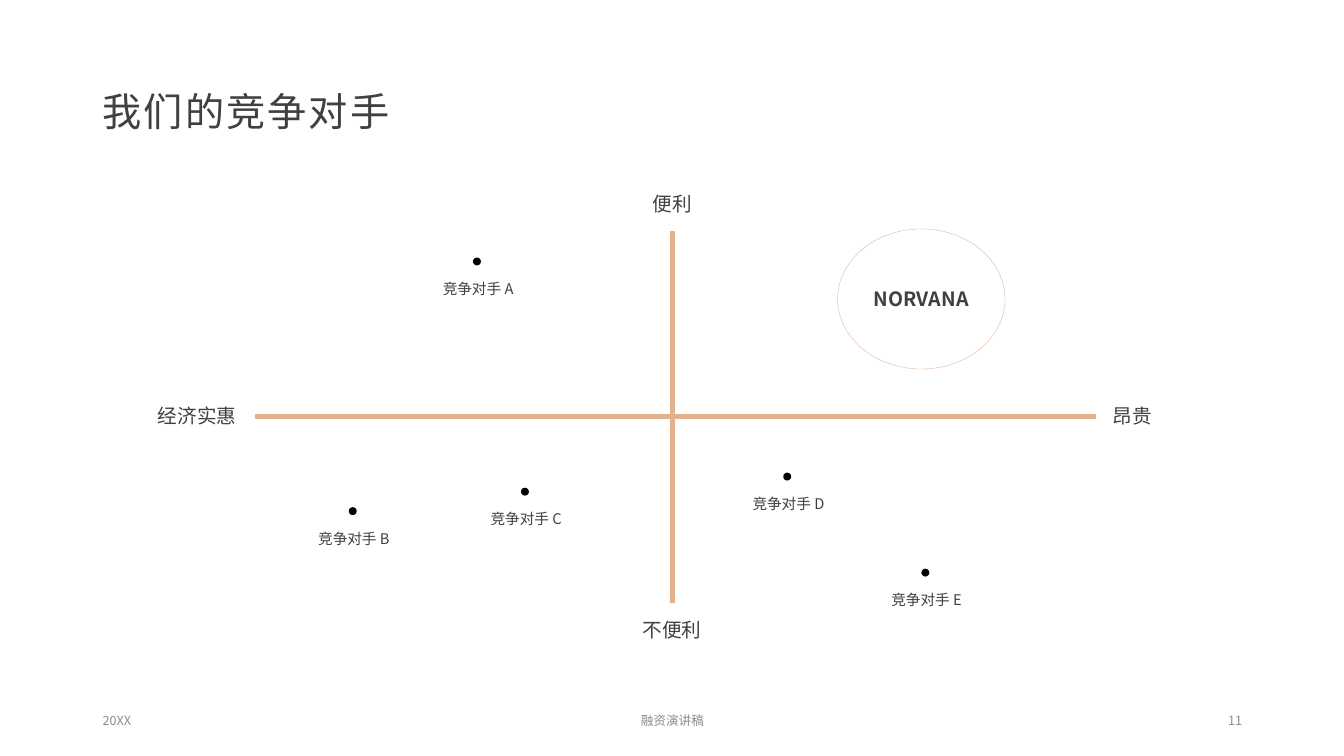
from lxml import etree
from pptx import Presentation
from pptx.dml.color import RGBColor
from pptx.enum.shapes import MSO_CONNECTOR, MSO_SHAPE
from pptx.enum.text import MSO_ANCHOR, PP_ALIGN
from pptx.oxml.ns import qn
from pptx.util import Cm, Pt

STRAIGHT = MSO_CONNECTOR.STRAIGHT
OVAL = MSO_SHAPE.OVAL
MIDDLE = MSO_ANCHOR.MIDDLE
LEFT, CENTER, RIGHT = PP_ALIGN.LEFT, PP_ALIGN.CENTER, PP_ALIGN.RIGHT

FONT = "Noto Sans CJK SC"
INK = RGBColor(0x40, 0x40, 0x40)
GREY = RGBColor(0x8C, 0x8C, 0x8C)
SAND = RGBColor(0xE2, 0xB1, 0x8D)
BLACK = RGBColor(0, 0, 0)

# Boxes in centimetres: left, top, width, height
TITLE_BOX = (2.34, 1.02, 29.2, 3.68)
MAP_BOX = (6.43, 5.82, 21.18, 9.37)
COMPANY_BOX = (21.11, 5.77, 4.22, 3.53)
FOOTER_BOX = (2.34, 17.65, 29.21, 1.02)

# Dot centres, measured from the top left corner of the map
COMPETITORS = {
    "A": (5.59, 0.77),
    "B": (2.46, 7.06),
    "C": (6.8, 6.57),
    "D": (13.41, 6.19),
    "E": (16.89, 8.61),
}
DOT_SIZE = 0.2
LABEL_HEIGHT = 1.37


def write_text(shape, text, size, color=INK, bold=False, spacing=0, **paragraph_format):
    frame = shape.text_frame
    frame.word_wrap = True
    frame.vertical_anchor = MIDDLE
    paragraph = frame.paragraphs[0]
    for name, value in paragraph_format.items():
        setattr(paragraph, name, value)
    run = paragraph.add_run()
    run.text = text
    for name, value in {"name": FONT, "size": Pt(size), "bold": bold}.items():
        setattr(run.font, name, value)
    run.font.color.rgb = color
    properties = run.font._element
    etree.SubElement(properties, qn("a:ea")).set("typeface", FONT)
    if spacing:
        properties.set("spc", str(spacing))


def add_text(slide, box, text, size, **text_format):
    write_text(slide.shapes.add_textbox(*map(Cm, box)), text, size, **text_format)


def add_label(slide, center_x, center_y, width, text, size):
    box = (center_x - width / 2, center_y - LABEL_HEIGHT / 2, width, LABEL_HEIGHT)
    add_text(slide, box, text, size, alignment=CENTER, space_before=Pt(10))


def add_oval(slide, box):
    oval = slide.shapes.add_shape(OVAL, *map(Cm, box))
    oval.shadow.inherit = False
    return oval


def add_axis(slide, *ends):
    axis = slide.shapes.add_connector(STRAIGHT, *map(Cm, ends))
    axis.line.color.rgb = SAND
    axis.line.width = Pt(3.5)
    etree.SubElement(axis._element.spPr, qn("a:effectLst"))


def add_title(slide, box):
    add_text(slide, box, "我们的竞争对手", 28, spacing=150, line_spacing=0.9)


def add_map(slide, box):
    left, top, width, height = box
    right, bottom = left + width, top + height
    middle_x, middle_y = left + width / 2 - 0.08, top + height / 2

    # Axes and the names of their ends
    add_axis(slide, left, middle_y, right, middle_y)
    add_axis(slide, middle_x, bottom, middle_x, top)
    for text, center_x, center_y in [
        ("便利", middle_x, top - 0.69),
        ("不便利", middle_x, bottom + 0.67),
        ("经济实惠", left - 1.46, middle_y - 0.02),
        ("昂贵", right + 0.93, middle_y - 0.02),
    ]:
        add_label(slide, center_x, center_y, 3.86, text, 14)

    # Competitors: a dot with its name below
    for letter, (offset_x, offset_y) in COMPETITORS.items():
        x, y = left + offset_x, top + offset_y
        dot = add_oval(slide, (x - DOT_SIZE / 2, y - DOT_SIZE / 2, DOT_SIZE, DOT_SIZE))
        dot.fill.solid()
        dot.fill.fore_color.rgb = BLACK
        dot.line.fill.background()
        add_label(slide, x + 0.03, y + LABEL_HEIGHT / 2, 3.28, f"竞争对手 {letter}", 10.5)


def add_company(slide, box):
    company = add_oval(slide, box)
    company.fill.background()
    company.line.color.rgb = SAND
    company.line.width = Pt(0.25)
    write_text(company, "NORVANA", 14, bold=True, alignment=CENTER)


def add_footer(slide, box):
    left, top, width, height = box
    side_width, middle_width = 7.62, 11.43
    for text, alignment, x, text_width in [
        ("20XX", LEFT, left, side_width),
        ("融资演讲稿", CENTER, left + (width - middle_width) / 2, middle_width),
        ("11", RIGHT, left + width - side_width, side_width),
    ]:
        add_text(slide, (x, top, text_width, height), text, 9,
                 color=GREY, alignment=alignment)


def main():
    presentation = Presentation()
    presentation.slide_width = Cm(33.87)
    presentation.slide_height = Cm(19.05)
    slide = presentation.slides.add_slide(presentation.slide_layouts[6])
    add_title(slide, TITLE_BOX)
    add_map(slide, MAP_BOX)
    add_company(slide, COMPANY_BOX)
    add_footer(slide, FOOTER_BOX)
    presentation.save("out.pptx")


if __name__ == "__main__":
    main()
